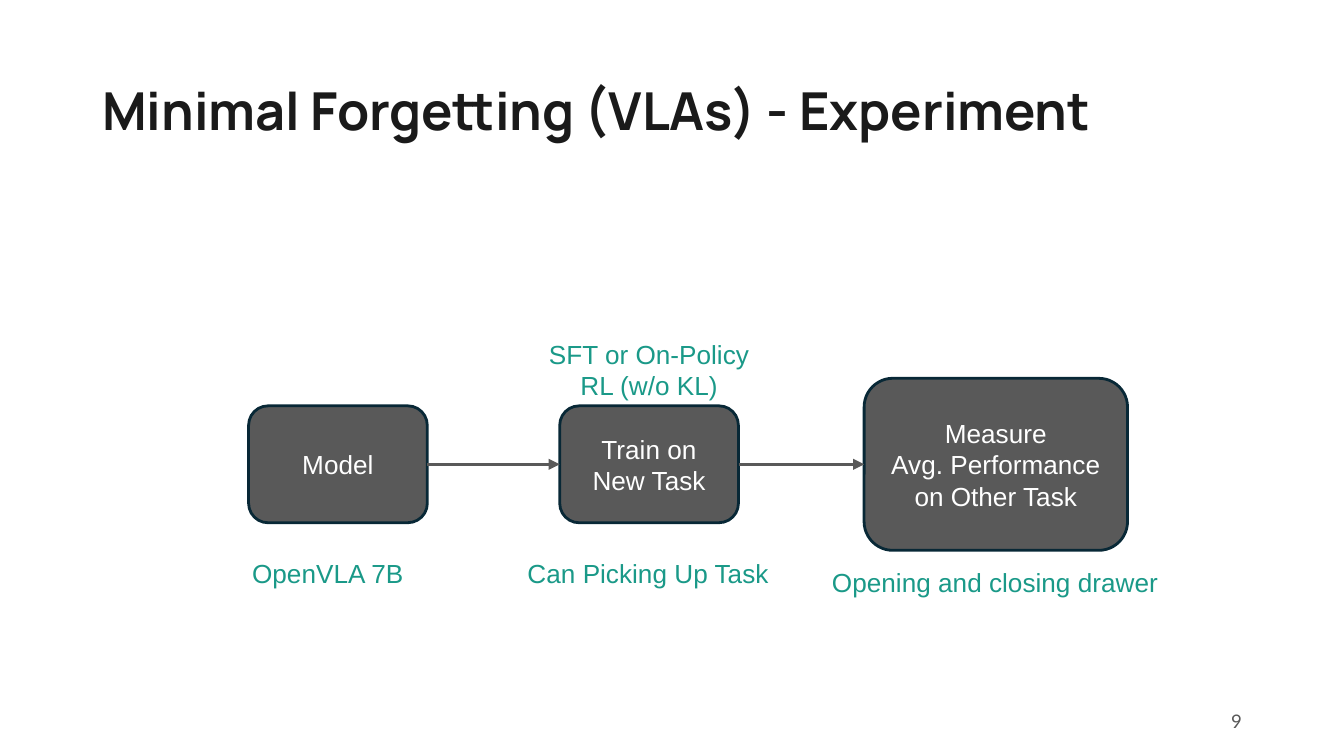
from dataclasses import dataclass
from itertools import pairwise

from lxml import etree
from pptx import Presentation
from pptx.dml.color import RGBColor
from pptx.enum.shapes import MSO_CONNECTOR, MSO_SHAPE
from pptx.enum.text import MSO_ANCHOR, MSO_AUTO_SIZE, PP_ALIGN
from pptx.oxml.ns import qn
from pptx.shapes.autoshape import Shape
from pptx.slide import Slide
from pptx.text.text import TextFrame
from pptx.util import Inches, Pt

ROUND = MSO_SHAPE.ROUNDED_RECTANGLE
STRAIGHT = MSO_CONNECTOR.STRAIGHT
LEFT, MID, RIGHT = PP_ALIGN.LEFT, PP_ALIGN.CENTER, PP_ALIGN.RIGHT
TOP, CENTER = MSO_ANCHOR.TOP, MSO_ANCHOR.MIDDLE

WIDTH = Inches(10)
HEIGHT = WIDTH * 9 // 16
UNIT = WIDTH / 100  # square grid cell, 100 columns across
AXIS = 34.55  # row on which the three steps are centred
EAST, WEST = 3, 1  # connection sites of a rounded box


@dataclass(frozen=True)
class Font:
    name: str
    size: int
    color: str
    bold: bool = False


@dataclass(frozen=True)
class Theme:
    title: Font = Font("Manrope", 28, "1A1A1A", True)
    step: Font = Font("Arial", 14, "FFFFFF")
    note: Font = Font("Arial", 14, "1A9988")
    page: Font = Font("Lato", 10, "595959")
    gray: str = "595959"
    edge: str = "082836"
    line: float = 1.5


@dataclass(frozen=True)
class Step:
    col: float
    wide: float
    high: float
    lines: tuple[str, ...]


@dataclass(frozen=True)
class Note:
    col: float
    row: float
    wide: float
    high: float
    text: str
    align: PP_ALIGN = LEFT


THEME = Theme()
STEPS = (
    Step(18.5, 13.3, 8.7, ("Model",)),
    Step(41.65, 13.3, 8.7, ("Train on", "New Task")),
    Step(64.3, 19.6, 12.8, ("Measure", "Avg. Performance on Other Task")),
)
NOTES = (
    Note(18.05, 41.1, 14.2, 3.1, "OpenVLA 7B"),
    Note(38.55, 41.1, 19.6, 3.1, "Can Picking Up Task"),
    Note(61.2, 41.75, 25.8, 3.1, "Opening and closing drawer"),
    Note(39, 24.75, 18.6, 5.5, "SFT or On-Policy RL (w/o KL)", MID),
)


def area(col: float, row: float, wide: float, high: float) -> list[int]:
    """Turn grid cells into left, top, width and height."""
    return [round(n * UNIT) for n in (col, row, wide, high)]


def write(frame: TextFrame, lines: tuple[str, ...], font: Font,
          align: PP_ALIGN, anchor: MSO_ANCHOR) -> None:
    frame.word_wrap = True
    frame.auto_size = MSO_AUTO_SIZE.NONE
    frame.vertical_anchor = anchor
    frame.margin_left = frame.margin_right = Inches(0.07)
    frame.margin_top = frame.margin_bottom = Inches(0.04)
    for i, line in enumerate(lines):
        para = frame.add_paragraph() if i else frame.paragraphs[0]
        para.alignment = align
        run = para.add_run()
        run.text = line
        run.font.name = font.name
        run.font.size = Pt(font.size)
        run.font.bold = font.bold
        run.font.color.rgb = RGBColor.from_string(font.color)


def add_title(slide: Slide, text: str) -> None:
    title = slide.shapes.title
    title.left, title.top, title.width, title.height = area(6.9, 3, 86.2, 10.9)
    write(title.text_frame, (text,), THEME.title, LEFT, CENTER)
    title.text_frame.paragraphs[0].line_spacing = 0.9


def add_step(slide: Slide, step: Step) -> Shape:
    row = AXIS - step.high / 2
    box = slide.shapes.add_shape(ROUND, *area(step.col, row, step.wide, step.high))
    box.shadow.inherit = False
    box.fill.solid()
    box.fill.fore_color.rgb = RGBColor.from_string(THEME.gray)
    box.line.color.rgb = RGBColor.from_string(THEME.edge)
    box.line.width = Pt(THEME.line)
    write(box.text_frame, step.lines, THEME.step, MID, CENTER)
    return box


def add_arrow(slide: Slide, start: Shape, end: Shape) -> None:
    arrow = slide.shapes.add_connector(STRAIGHT, 0, 0, 0, 0)
    arrow.begin_connect(start, EAST)
    arrow.end_connect(end, WEST)
    arrow.line.color.rgb = RGBColor.from_string(THEME.gray)
    arrow.line.width = Pt(THEME.line)
    props = arrow._element.spPr
    etree.SubElement(props.find(qn("a:ln")), qn("a:tailEnd"), type="triangle")
    etree.SubElement(props, qn("a:effectLst"))


def add_note(slide: Slide, note: Note, font: Font, anchor: MSO_ANCHOR) -> None:
    box = slide.shapes.add_textbox(*area(note.col, note.row, note.wide, note.high))
    write(box.text_frame, (note.text,), font, note.align, anchor)


def main() -> None:
    deck = Presentation()
    deck.slide_width, deck.slide_height = WIDTH, HEIGHT
    slide = deck.slides.add_slide(deck.slide_layouts.get_by_name("Title Only"))
    add_title(slide, "Minimal Forgetting (VLAs) - Experiment")
    add_note(slide, Note(70.6, 52.15, 22.5, 3, "9", RIGHT), THEME.page, CENTER)
    boxes = [add_step(slide, step) for step in STEPS]
    for start, end in pairwise(boxes):
        add_arrow(slide, start, end)
    for note in NOTES:
        add_note(slide, note, THEME.note, TOP)
    deck.save("out.pptx")


if __name__ == "__main__":
    main()
